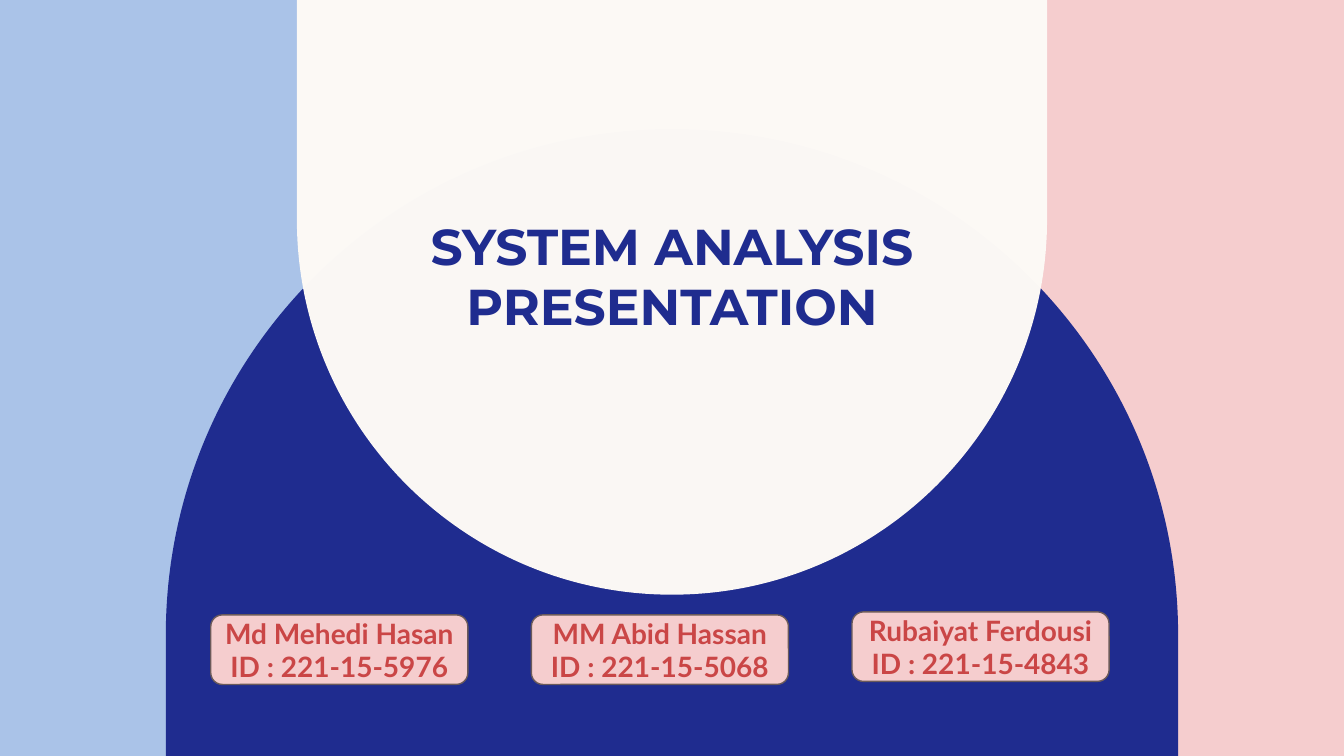
from lxml.etree import SubElement
from pptx import Presentation
from pptx.dml.color import RGBColor
from pptx.enum.shapes import MSO_SHAPE
from pptx.enum.text import MSO_ANCHOR, MSO_AUTO_SIZE, PP_ALIGN
from pptx.oxml.ns import qn
from pptx.util import Inches, Pt

WIDTH, HEIGHT = 13.33, 7.5
CENTER = WIDTH / 2
BLEED = 7.52
CURVE = 0.5523  # handle length of a quarter circle, as a share of its radius
COLORS = {
    "pink": "F5CDCE",
    "sky": "AAC3E8",
    "navy": "1F2C8F",
    "cream": "FDFAF6",
    "outline": "6B5A5A",
    "red": "CA4646",
}
# Name, ID and top of each card
MEMBERS = [
    ("Md Mehedi Hasan", "ID : 221-15-5976", 6.1),
    ("MM Abid Hassan", "ID : 221-15-5068", 6.1),
    ("Rubaiyat Ferdousi", "ID : 221-15-4843", 6.07),
]
CARD_LEFT, CARD_PITCH = 2.09, 3.18
CARD_WIDTH, CARD_HEIGHT = 2.55, 0.69


def color(name):
    return RGBColor.from_string(COLORS[name])


def paint(shape, fill):
    shape.shadow.inherit = False
    shape.fill.solid()
    shape.fill.fore_color.rgb = color(fill)
    shape.line.fill.background()


def format_paragraph(paragraph, font_name, size, font_color):
    paragraph.alignment = PP_ALIGN.CENTER
    paragraph.font.name = font_name
    paragraph.font.size = Pt(size)
    paragraph.font.bold = True
    paragraph.font.color.rgb = color(font_color)


def add_panel(slide, width, fill):
    panel = slide.shapes.add_shape(
        MSO_SHAPE.RECTANGLE, 0, 0, Inches(width), Inches(BLEED))
    paint(panel, fill)


def bend(segment, first_handle, second_handle):
    """Turn a straight path segment into a cubic curve."""
    segment.tag = qn("a:cubicBezTo")
    for index, (x, y) in enumerate((first_handle, second_handle)):
        handle = segment.makeelement(
            qn("a:pt"), {"x": str(round(x)), "y": str(round(y))})
        segment.insert(index, handle)


def add_arch(slide, radius, arc_y, base_y, fill):
    """Draw a half circle centred at arc_y, with straight sides to base_y."""
    apex_y = arc_y - radius if base_y > arc_y else arc_y + radius
    left, right = CENTER - radius, CENTER + radius
    corners = [(left, arc_y), (CENTER, apex_y), (right, arc_y),
               (right, base_y), (left, base_y)]
    points = [(Inches(x), Inches(y)) for x, y in corners]
    builder = slide.shapes.build_freeform(*points[0], scale=1.0)
    builder.add_line_segments(points[1:], close=True)
    arch = builder.convert_to_shape()
    paint(arch, fill)

    # Round the two segments that meet at the apex
    (x0, y0), (x1, y1), (x2, _) = [
        (x - arch.left, y - arch.top) for x, y in points[:3]]
    spring_y = y0 + CURVE * (y1 - y0)
    reach = CURVE * (x1 - x0)
    rising, falling = list(arch._element.iter(qn("a:lnTo")))[:2]
    bend(rising, (x0, spring_y), (x1 - reach, y1))
    bend(falling, (x1 + reach, y1), (x2, spring_y))
    return arch


def set_opacity(shape, percent):
    fill_color = shape.fill._xPr.find(qn("a:solidFill"))[0]
    SubElement(fill_color, qn("a:alpha")).set("val", str(percent * 1000))


def set_title(slide, text):
    title = slide.shapes.title
    title.left, title.top = Inches(3.17), Inches(1.96)
    title.width, title.height = Inches(6.99), Inches(1.54)
    frame = title.text_frame
    frame.text = text
    frame.auto_size = MSO_AUTO_SIZE.NONE
    frame.vertical_anchor = MSO_ANCHOR.MIDDLE
    frame.margin_top = frame.margin_bottom = 0
    format_paragraph(frame.paragraphs[0], "Montserrat", 36, "navy")


def add_member_card(slide, column, name, student_id, top):
    card = slide.shapes.add_shape(
        MSO_SHAPE.ROUNDED_RECTANGLE,
        Inches(CARD_LEFT + column * CARD_PITCH), Inches(top),
        Inches(CARD_WIDTH), Inches(CARD_HEIGHT))
    paint(card, "pink")
    card.line.color.rgb = color("outline")
    card.line.width = Pt(1)
    frame = card.text_frame
    frame.text = f"{name}\n{student_id}"
    frame.vertical_anchor = MSO_ANCHOR.MIDDLE
    for paragraph in frame.paragraphs:
        format_paragraph(paragraph, "Lato", 20, "red")


def main():
    presentation = Presentation()
    presentation.slide_width = Inches(WIDTH)
    presentation.slide_height = Inches(HEIGHT)
    title_only = presentation.slide_layouts.get_by_name("Title Only")
    slide = presentation.slides.add_slide(title_only)

    # Backdrop: pink and sky halves under two opposing arches
    slide.background.fill.solid()
    slide.background.fill.fore_color.rgb = color("pink")
    add_panel(slide, 5.79, "sky")
    add_arch(slide, 5.02, 6.3, BLEED, "navy")
    cream_arch = add_arch(slide, 3.72, 2.18, 0, "cream")
    set_opacity(cream_arch, 99)

    # Title, raised above the arches
    set_title(slide, "SYSTEM ANALYSIS\vPRESENTATION")
    slide.shapes._spTree.append(slide.shapes.title._element)

    # Team members
    for column, member in enumerate(MEMBERS):
        add_member_card(slide, column, *member)

    presentation.save("out.pptx")


if __name__ == "__main__":
    main()
